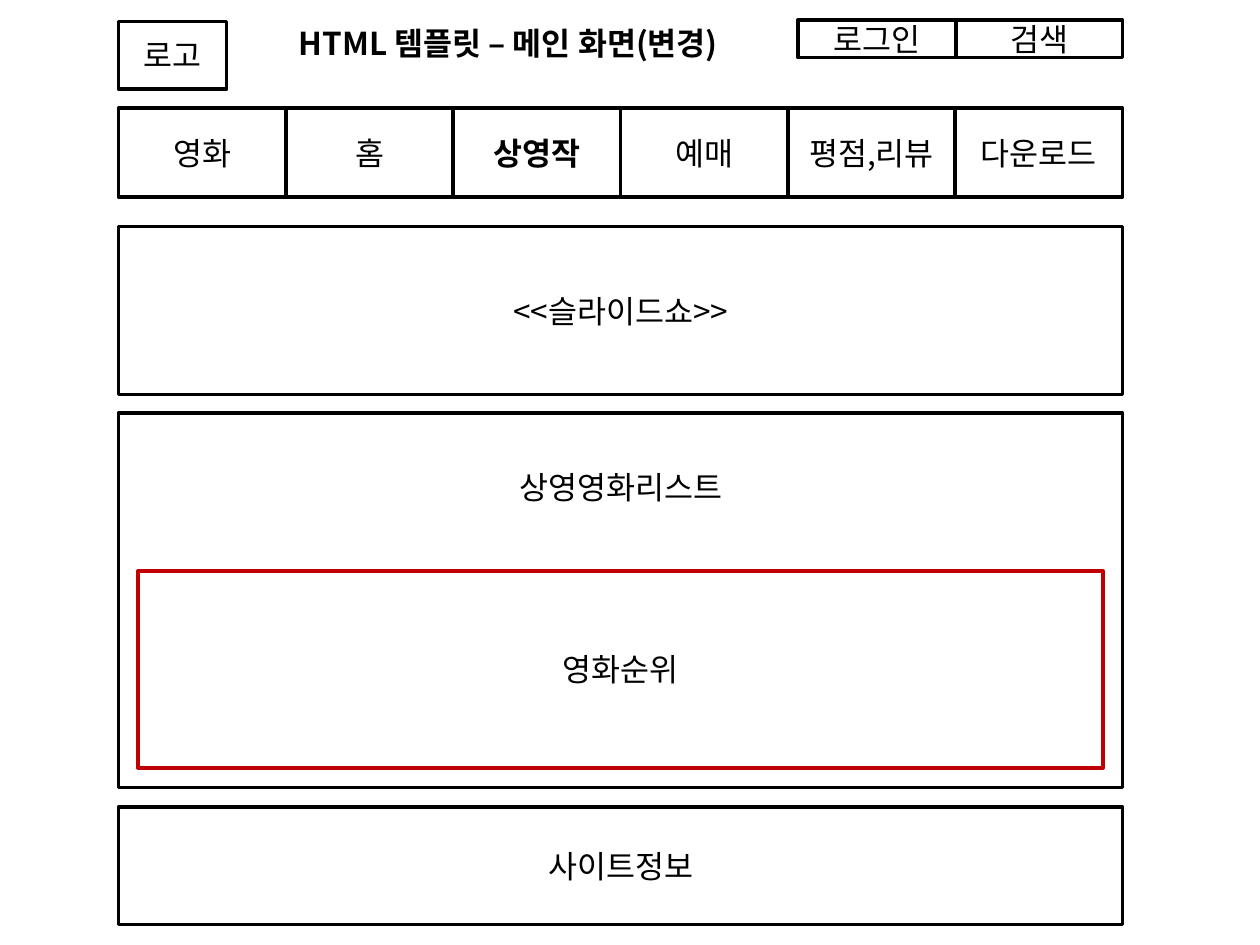
from dataclasses import dataclass

from lxml.etree import SubElement
from pptx import Presentation
from pptx.dml.color import RGBColor as Rgb
from pptx.enum.shapes import MSO_SHAPE as Shape
from pptx.enum.text import MSO_ANCHOR as Anchor, MSO_AUTO_SIZE as AutoSize, PP_ALIGN as Align
from pptx.oxml.ns import qn
from pptx.util import Cm, Pt


@dataclass(frozen=True)
class Theme:
    font: str = "Noto Sans CJK KR"
    size: Pt = Pt(18)
    border: Pt = Pt(2)
    ink: Rgb = Rgb(0, 0, 0)
    paper: Rgb = Rgb(255, 255, 255)
    accent: Rgb = Rgb(0xC0, 0, 0)


THEME = Theme()


@dataclass(frozen=True)
class Box:
    """A region in centimetres."""
    left: float
    top: float
    width: float
    height: float

    def inner(self, left, top, width, height):
        return Box(self.left + left, self.top + top, width, height)

    def emu(self):
        return Cm(self.left), Cm(self.top), Cm(self.width), Cm(self.height)


def write(frame, text, align, bold=False):
    frame.text = text
    frame.word_wrap = True
    paragraph = frame.paragraphs[0]
    paragraph.alignment = align
    for run in paragraph.runs:
        font = run.font
        font.name, font.size, font.bold = THEME.font, THEME.size, bold
        font.color.rgb = THEME.ink
        # Korean glyphs take the East Asian typeface
        SubElement(font._element, qn("a:ea"), typeface=THEME.font)


def add_panel(slide, box, label, color=THEME.ink, bold=False):
    panel = slide.shapes.add_shape(Shape.RECTANGLE, *box.emu())
    panel.shadow.inherit = False
    panel.fill.solid()
    panel.fill.fore_color.rgb = THEME.paper
    panel.line.color.rgb = color
    panel.line.width = THEME.border
    panel.text_frame.vertical_anchor = Anchor.MIDDLE
    write(panel.text_frame, label, Align.CENTER, bold)
    return panel


def add_header(slide, box):
    # Logo slot
    add_panel(slide, box.inner(0, 0.03, 2.18, 1.37), "로고")

    # Page title
    title = slide.shapes.title
    title.left, title.top, title.width, title.height = box.inner(3.38, -0.05, 9.6, 1.02).emu()
    frame = title.text_frame
    frame.vertical_anchor = Anchor.TOP
    write(frame, "HTML 템플릿 – 메인 화면(변경)", Align.LEFT, bold=True)
    frame.auto_size = AutoSize.SHAPE_TO_FIT_TEXT

    # Account buttons, flush with the right edge
    login_width, search_width, height = 3.18, 3.36, 0.76
    search_left = box.width - search_width
    add_panel(slide, box.inner(search_left - login_width, 0, login_width, height), "로그인")
    add_panel(slide, box.inner(search_left, 0, search_width, height), "검색")


def add_menu(slide, box, items, current):
    width = box.width / len(items)
    for index, item in enumerate(items):
        add_panel(slide, box.inner(index * width, 0, width, box.height), item, bold=item == current)


def add_movie_list(slide, box):
    movies = add_panel(slide, box, "상영영화리스트")
    movies.text_frame.margin_bottom = Cm(4.7)  # keeps the label above the ranking
    inset = 0.39
    ranking = box.inner(inset, 3.18, box.width - 2 * inset, 3.97)
    add_panel(slide, ranking, "영화순위", THEME.accent)


def main():
    deck = Presentation()
    deck.slide_width, deck.slide_height = Cm(25.4), Cm(19.05)
    slide = deck.slides.add_slide(deck.slide_layouts[5])
    page = Box(2.39, 0, 20.24, 19.05)

    add_header(slide, page.inner(0, 0.4, page.width, 1.4))
    add_menu(slide, page.inner(0, 2.18, page.width, 1.79),
             ["영화", "홈", "상영작", "예매", "평점,리뷰", "다운로드"], current="상영작")
    add_panel(slide, page.inner(0, 4.57, page.width, 3.38), "<<슬라이드쇼>>")
    add_movie_list(slide, page.inner(0, 8.33, page.width, 7.55))
    add_panel(slide, page.inner(0, 16.27, page.width, 2.37), "사이트정보")

    deck.save("out.pptx")


if __name__ == "__main__":
    main()
